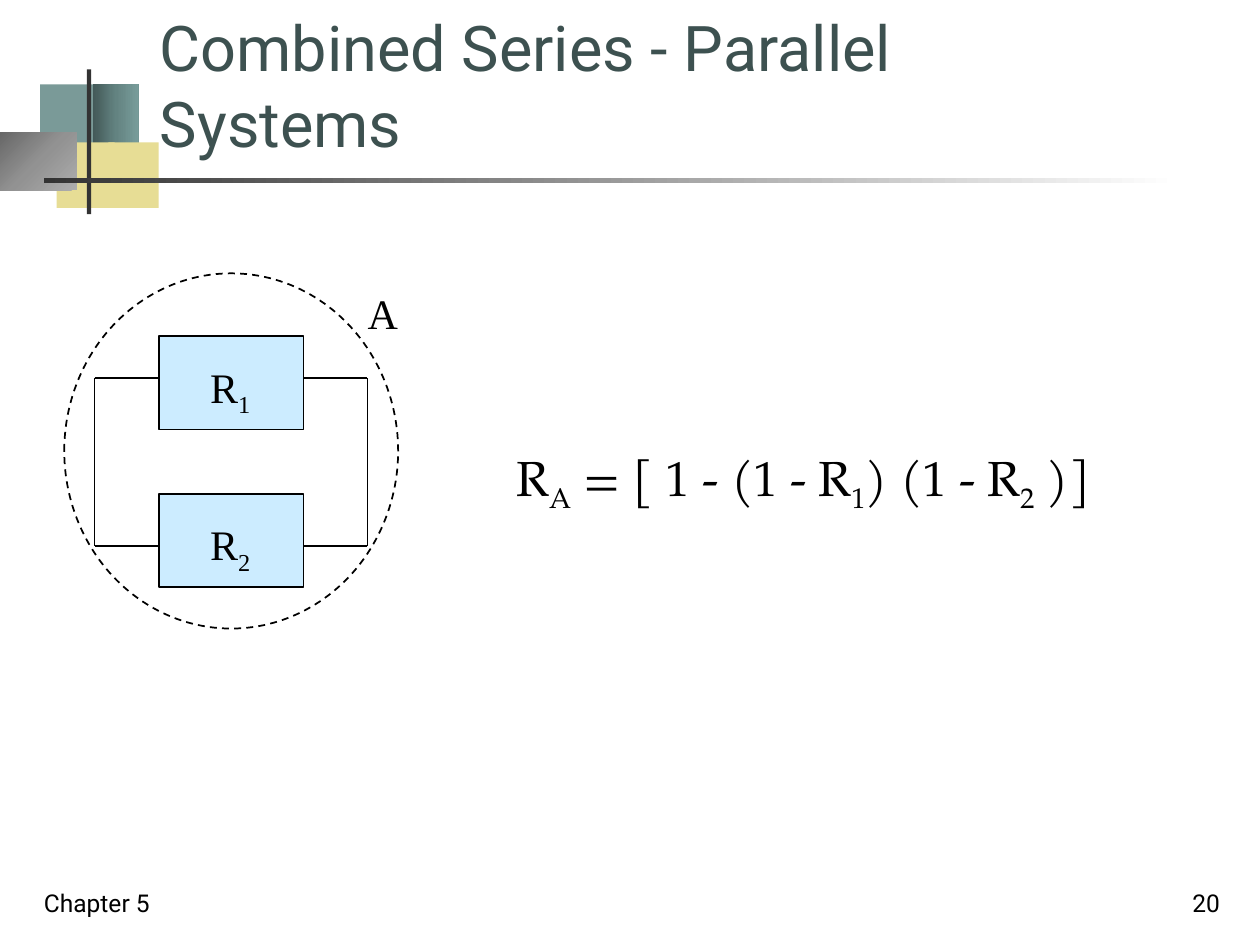
from itertools import product
from typing import NamedTuple

from lxml.etree import SubElement
from pptx import Presentation
from pptx.dml.color import RGBColor
from pptx.enum.dml import MSO_LINE_DASH_STYLE as Dash
from pptx.enum.shapes import MSO_CONNECTOR as Connector, MSO_SHAPE as Preset
from pptx.enum.text import MSO_ANCHOR as Anchor, PP_ALIGN as Align
from pptx.oxml import parse_xml
from pptx.oxml.ns import nsdecls, qn
from pptx.util import Pt

BLACK = "000000"
SANS, SERIF, FORMULA = "Roboto", "Times New Roman", "TeX Gyre Pagella"
LINEAR = '<a:lin ang="0" scaled="0"/>'
FROM_CORNER = '<a:path path="circle"><a:fillToRect r="100000" b="100000"/></a:path>'


class Box(NamedTuple):
    left: float
    top: float
    width: float
    height: float

    def lengths(self) -> list:
        return [Pt(value) for value in self]


class Decoration(NamedTuple):
    box: Box
    colors: tuple[str, ...]
    direction: str = LINEAR


class TextStyle(NamedTuple):
    font: str
    size: float
    color: str = BLACK
    align: Align = Align.LEFT
    anchor: Anchor = Anchor.TOP
    wrap: bool = True


DECORATIONS = [
    Decoration(Box(23, 48.2, 34.6, 37.4), ("7A9A98",)),
    Decoration(Box(53.3, 48.2, 25.9, 37.4), ("435958", "638381", "789C9A")),
    Decoration(Box(32.4, 81.4, 33.1, 37.4), ("E7DD95",)),
    Decoration(Box(61.9, 81.4, 28.8, 37.4), ("E7DD95",)),
    Decoration(Box(0, 75.6, 43.9, 33.1), ("676767", "929292", "ADADAD"), FROM_CORNER),
    Decoration(Box(49.7, 39.6, 2.5, 82.8), ("333333",)),
    Decoration(Box(25.2, 101.9, 648, 2.5), ("333333", "FFFFFF")),
]


def rgb(color: str) -> RGBColor:
    return RGBColor.from_string(color)


def add_preset(slide, preset: Preset, box: Box, fill: str | None, outlined: bool):
    shape = slide.shapes.add_shape(preset, *box.lengths())
    shape.shadow.inherit = False
    if fill:
        shape.fill.solid()
        shape.fill.fore_color.rgb = rgb(fill)
    else:
        shape.fill.background()
    if outlined:
        shape.line.color.rgb = rgb(BLACK)
        shape.line.width = Pt(1)
    else:
        shape.line.fill.background()
    return shape


def add_decoration(slide, decoration: Decoration) -> None:
    colors = decoration.colors
    shape = add_preset(slide, Preset.RECTANGLE, decoration.box, colors[0], False)
    if len(colors) == 1:
        return
    step = 100000 // (len(colors) - 1)
    stops = "".join(
        f'<a:gs pos="{index * step}"><a:srgbClr val="{color}"/></a:gs>'
        for index, color in enumerate(colors)
    )
    gradient = parse_xml(
        f'<a:gradFill {nsdecls("a")} rotWithShape="1">'
        f"<a:gsLst>{stops}</a:gsLst>{decoration.direction}</a:gradFill>"
    )
    properties = shape._element.spPr
    properties.replace(properties.find(qn("a:solidFill")), gradient)


def write_text(shape, text: str, style: TextStyle) -> None:
    """Write one paragraph; every second part between underscores is a subscript."""
    frame = shape.text_frame
    frame.word_wrap = style.wrap
    frame.vertical_anchor = style.anchor
    paragraph = frame.paragraphs[0]
    paragraph.alignment = style.align
    font = paragraph.font
    font.name, font.size = style.font, Pt(style.size)
    font.color.rgb = rgb(style.color)
    for index, part in enumerate(text.split("_")):
        run = paragraph.add_run()
        run.text = part
        if index % 2:
            run._r.get_or_add_rPr().set("baseline", "-25000")


def add_text(slide, text: str, box: Box, style: TextStyle) -> None:
    write_text(slide.shapes.add_textbox(*box.lengths()), text, style)


def add_wire(slide, x1: float, y1: float, x2: float, y2: float) -> None:
    ends = [Pt(value) for value in (x1, y1, x2, y2)]
    wire = slide.shapes.add_connector(Connector.STRAIGHT, *ends)
    wire.line.color.rgb = rgb(BLACK)
    wire.line.width = Pt(1)
    SubElement(wire._element.spPr, qn("a:effectLst"))


def add_circuit(slide) -> None:
    label_style = TextStyle(SERIF, 24, wrap=False)

    # Parallel components
    for number, top in ((1, 192.2), (2, 282.2)):
        add_preset(slide, Preset.RECTANGLE, Box(90.7, top, 82.8, 53.3), "CCECFF", True)
        add_text(slide, f"R_{number}_", Box(113, top + 10.8, 38.2, 36), label_style)

    # Wires: one rail on each side, with a branch to each component
    rows = (216, 312)
    sides = ((54, 90), (210, 174))
    for rail, _ in sides:
        add_wire(slide, rail, rows[0], rail, rows[1])
    for (rail, component), row in product(sides, rows):
        add_wire(slide, rail, row, component, row)

    # Boundary of subsystem A
    boundary = add_preset(slide, Preset.OVAL, Box(36.7, 156.2, 190.8, 203), None, True)
    boundary.line.dash_style = Dash.DASH
    add_text(slide, "A", Box(203, 160.6, 31.7, 36), label_style)


def main() -> None:
    presentation = Presentation()
    presentation.slide_width, presentation.slide_height = Pt(720), Pt(540)
    slide = presentation.slides.add_slide(presentation.slide_layouts[5])

    # Corner decoration and title
    for decoration in DECORATIONS:
        add_decoration(slide, decoration)
    title = slide.shapes.title
    title.left, title.top, title.width, title.height = Box(84.2, 41.8, 575.3, 53.3).lengths()
    write_text(
        title,
        "Combined Series - Parallel Systems",
        TextStyle(SANS, 36, "3D5150", anchor=Anchor.BOTTOM),
    )
    title.text_frame.margin_right = Pt(18)

    # Reliability formula
    add_text(
        slide,
        "R_A_ = [ 1 - (1 - R_1_) (1 - R_2_ )]",
        Box(288, 252, 383, 56.9),
        TextStyle(FORMULA, 28),
    )

    add_circuit(slide)

    # Footer
    for text, left, align in (("Chapter 5", 18, Align.LEFT), ("20", 554.4, Align.RIGHT)):
        style = TextStyle(SANS, 14, align=align, anchor=Anchor.BOTTOM)
        add_text(slide, text, Box(left, 491.8, 149.8, 36), style)

    presentation.save("out.pptx")


if __name__ == "__main__":
    main()
